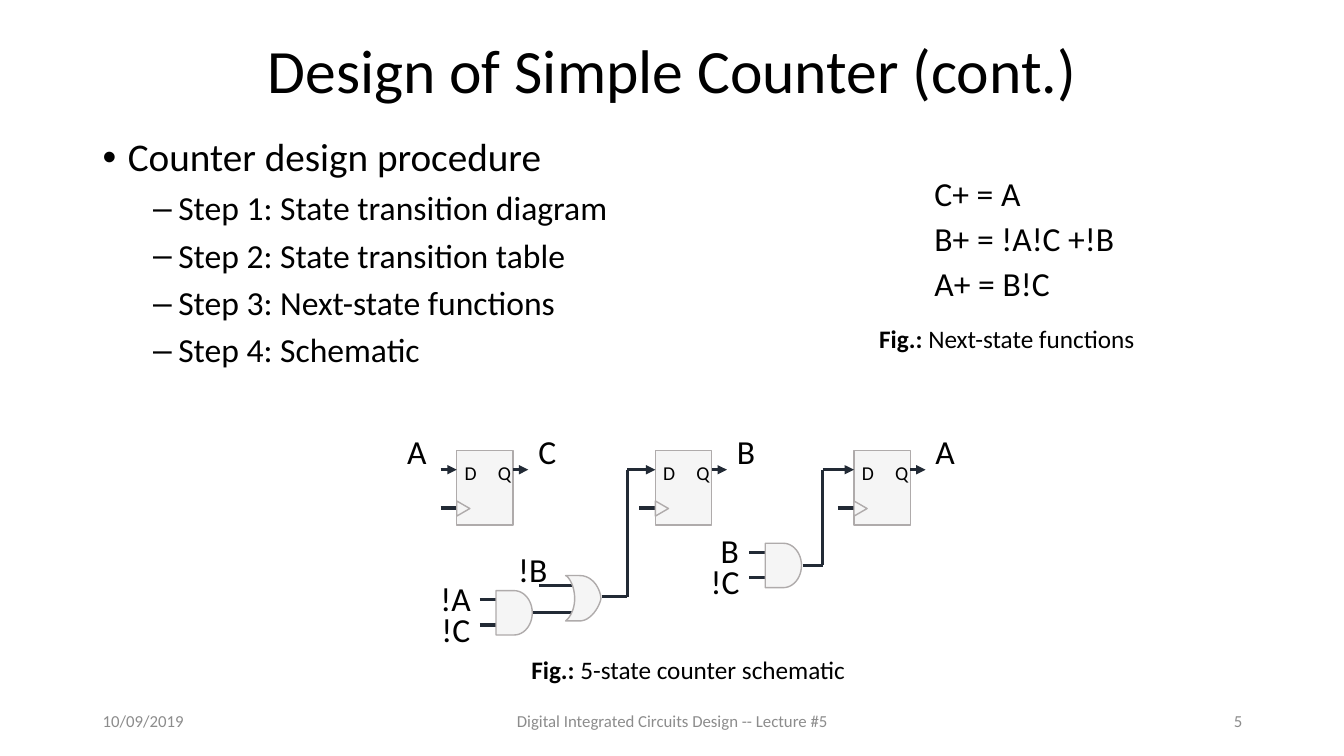
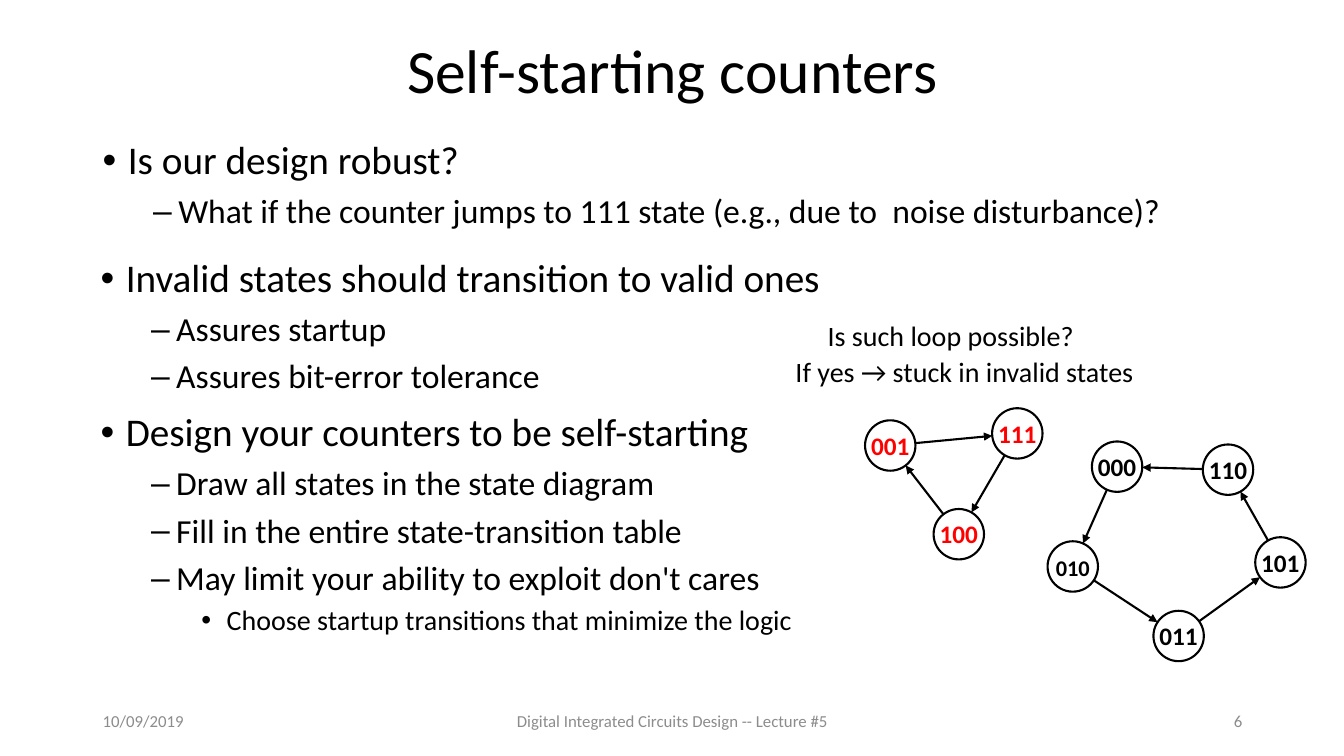
"""Build two lecture slides on counter design: a schematic and state loops."""
from math import hypot

from lxml import etree
from pptx import Presentation
from pptx.dml.color import RGBColor
from pptx.enum.shapes import MSO_CONNECTOR, MSO_SHAPE
from pptx.enum.text import MSO_ANCHOR, PP_ALIGN
from pptx.oxml.ns import qn
from pptx.util import Inches, Pt

LEFT, CENTER, RIGHT = PP_ALIGN.LEFT, PP_ALIGN.CENTER, PP_ALIGN.RIGHT
TOP, MIDDLE = MSO_ANCHOR.TOP, MSO_ANCHOR.MIDDLE
RECTANGLE, ELLIPSE, TRIANGLE = MSO_SHAPE.RECTANGLE, MSO_SHAPE.OVAL, MSO_SHAPE.ISOSCELES_TRIANGLE
STRAIGHT = MSO_CONNECTOR.STRAIGHT

FONT = "Calibri"
BLACK, WHITE, RED, GRAY = "000000", "FFFFFF", "FF0000", "8C8C8C"
GATE_FILL, GATE_LINE, WIRE = "F5F5F5", "AFABAB", "222A35"

TITLE_BOX = (0.92, 0.33, 11.5, 0.79)
DATE, COURSE = "10/09/2019", "Digital Integrated Circuits Design -- Lecture #5"
FIRST_NUMBER = 5
LEVELS = [(0.25, "•", 28, 12), (0.75, "–", 24, 8), (1.25, "•", 20, 6)]

PROCEDURE = [
    (0, "Counter design procedure"),
    (1, "Step 1: State transition diagram"),
    (1, "Step 2: State transition table"),
    (1, "Step 3: Next-state functions"),
    (1, "Step 4: Schematic"),
]
ROBUSTNESS = [
    (0, "Is our design robust?"),
    (1, "What if the counter jumps to 111 state (e.g., due to  noise disturbance)?"),
]
SELF_STARTING = [
    (0, "Invalid states should transition to valid ones"),
    (1, "Assures startup"),
    (1, "Assures bit-error tolerance"),
    (0, "Design your counters to be self-starting"),
    (1, "Draw all states in the state diagram"),
    (1, "Fill in the entire state-transition table"),
    (1, "May limit your ability to exploit don't cares"),
    (2, "Choose startup transitions that minimize the logic"),
]

FUNCTIONS = [("C+ = A", 1.06), ("B+ = !A!C +!B", 2), ("A+ = B!C", 1.36)]
CAPTIONS = [
    ("Next-state functions", (8.61, 3.16, 2.75, 0.4)),
    ("5-state counter schematic", (5.15, 6.44, 3.35, 0.4)),
]
FLIP_FLOP_OUTPUTS = [("C", 0.38), ("B", 0.38), ("A", 0.4)]
FLIP_FLOP_LEFT, FLIP_FLOP_TOP, FLIP_FLOP_PITCH = 4.53, 4.47, 1.97
SIGNALS = [
    ("A", 3.94, 4.23, 0.4), ("B", 7.05, 5.21, 0.4), ("!C", 6.95, 5.52, 0.49),
    ("!B", 5.04, 5.4, 0.49), ("!A", 4.27, 5.68, 0.51), ("!C", 4.28, 5.99, 0.49),
]
AND_GATES = [(7.59, 5.39), (4.92, 5.86)]
OR_GATE = (5.61, 5.71)
AND_OUTLINE = [
    [(0, 0)], [(0.18, 0)],
    [(0.28, 0), (0.36, 0.1), (0.36, 0.22)],
    [(0.36, 0.34), (0.28, 0.44), (0.18, 0.44)],
    [(0, 0.44)],
]
OR_OUTLINE = [
    [(0.14, 0)], [(0, 0)],
    [(0.03, 0.01), (0.09, 0.1), (0.09, 0.23)],
    [(0.09, 0.35), (0.03, 0.43), (0, 0.45)],
    [(0.13, 0.45)],
    [(0.25, 0.46), (0.34, 0.3), (0.35, 0.23)],
    [(0.35, 0.15), (0.28, 0), (0.14, 0)],
]
WIRES = [
    [(5.35, 5.81), (5.69, 5.81)],
    [(5.29, 6.08), (5.69, 6.08)],
    [(5.97, 5.92), (6.22, 5.92), (6.22, 4.66), (6.38, 4.66)],
    [(7.96, 5.61), (8.16, 5.61), (8.16, 4.66), (8.31, 4.66)],
]

STATE_SIZE = 0.5
INVALID_LOOP = [("001", 8.58, 4.17), ("111", 9.84, 4.05), ("100", 9.26, 5.05)]
VALID_LOOP = [
    ("000", 10.83, 4.38), ("010", 10.39, 5.37), ("011", 11.44, 6.06),
    ("101", 12.45, 5.33), ("110", 11.93, 4.41),
]
LOOP_NOTES = [
    ("Is such loop possible?", (8.16, 3.11, 2.54, 0.64), CENTER),
    ("If yes → stuck in invalid states", (7.87, 3.47, 3.46, 0.46), LEFT),
]


def color(value):
    return RGBColor.from_string(value)


def write_text(shape, text, *, size=24, ink=BLACK, bold=False, lead="", align=LEFT,
               anchor=TOP, wrap=False, inset=(0.1, 0.05), spacing=None):
    """Write a string, or a list of (level, string) bullets, into a shape."""
    frame = shape.text_frame
    frame.word_wrap, frame.vertical_anchor = wrap, anchor
    frame.margin_left = frame.margin_right = Inches(inset[0])
    frame.margin_top = frame.margin_bottom = Inches(inset[1])
    for index, (level, line) in enumerate([(None, text)] if isinstance(text, str) else text):
        paragraph = frame.add_paragraph() if index else frame.paragraphs[0]
        paragraph.alignment, paragraph.line_spacing = align, spacing
        if level is not None:
            indent, bullet, size, before = LEVELS[level]
            paragraph.level, paragraph.space_before = level, Pt(before)
            properties = paragraph._p.get_or_add_pPr()
            properties.set("marL", str(Inches(indent)))
            properties.set("indent", str(Inches(-0.25)))
            etree.SubElement(properties, qn("a:buFont")).set("typeface", "Arial")
            etree.SubElement(properties, qn("a:buChar")).set("char", bullet)
        for content, weight in ((lead, True), (line, bold)):
            if content:
                run = paragraph.add_run()
                run.text = content
                run.font.name, run.font.size, run.font.bold = FONT, Pt(size), weight
                run.font.color.rgb = color(ink)


def add_text(slide, text, box, **style):
    write_text(slide.shapes.add_textbox(*map(Inches, box)), text, **style)


def paint(shape, fill, line, width):
    shape.shadow.inherit = False
    shape.fill.solid()
    shape.fill.fore_color.rgb = color(fill)
    shape.line.color.rgb = color(line)
    shape.line.width = Pt(width)


def add_figure(slide, kind, box, fill=GATE_FILL, line=GATE_LINE, width=1):
    shape = slide.shapes.add_shape(kind, *map(Inches, box))
    paint(shape, fill, line, width)
    return shape


def add_line(slide, start, end, ink=WIRE, width=2.25, arrow=False):
    connector = slide.shapes.add_connector(STRAIGHT, *map(Inches, (*start, *end)))
    connector.line.color.rgb = color(ink)
    connector.line.width = Pt(width)
    if arrow:
        etree.SubElement(connector.line._get_or_add_ln(), qn("a:tailEnd")).set("type", "triangle")
    etree.SubElement(connector._element.spPr, qn("a:effectLst"))


def curve(start, first, second, end, steps=12):
    """Return points along a cubic curve, leaving out its start."""
    points = []
    for step in range(1, steps + 1):
        t = step / steps
        weights = ((1 - t) ** 3, 3 * t * (1 - t) ** 2, 3 * t * t * (1 - t), t ** 3)
        points.append(tuple(sum(weight * point[axis] for weight, point
                                in zip(weights, (start, first, second, end)))
                            for axis in (0, 1)))
    return points


def add_gate(slide, outline, left, top):
    points = []
    for segment in outline:
        points += curve(points[-1], *segment) if len(segment) == 3 else segment
    corners = [(Inches(left + x), Inches(top + y)) for x, y in points]
    builder = slide.shapes.build_freeform(*corners[0])
    builder.add_line_segments(corners[1:], close=True)
    paint(builder.convert_to_shape(), GATE_FILL, GATE_LINE, 1)


def add_flip_flop(slide, left, output, label_width):
    top, right = FLIP_FLOP_TOP, left + 0.56
    data, clock = top + 0.19, top + 0.57
    add_figure(slide, RECTANGLE, (left, top, 0.56, 0.74))
    add_line(slide, (left - 0.16, data), (left, data), arrow=True)
    add_line(slide, (left - 0.16, clock), (left, clock))
    add_line(slide, (right, data), (right + 0.15, data), arrow=True)
    add_figure(slide, TRIANGLE, (left - 0.01, clock - 0.06, 0.15, 0.13)).rotation = 90
    for pin, pin_left in (("D", left - 0.02), ("Q", left + 0.31)):
        add_text(slide, pin, (pin_left, top + 0.08, 0.27, 0.27),
                 size=14, align=CENTER, anchor=MIDDLE)
    add_text(slide, output, (right + 0.15, top - 0.24, label_width, 0.5))


def add_loop(slide, states, ink):
    radius = STATE_SIZE / 2
    for (name, left, top), (_, next_left, next_top) in zip(states, states[1:] + states[:1]):
        circle = add_figure(slide, ELLIPSE, (left, top, STATE_SIZE, STATE_SIZE), WHITE, BLACK, 1.5)
        write_text(circle, name, size=16 if name == "010" else 18, ink=ink, bold=True,
                   align=CENTER, anchor=MIDDLE, inset=(0, 0), spacing=Pt(21))
        across, down = next_left - left, next_top - top
        share = radius / hypot(across, down)
        x, y = left + radius, top + radius
        add_line(slide, (x + share * across, y + share * down),
                 (x + (1 - share) * across, y + (1 - share) * down), BLACK, 1.5, arrow=True)


def add_slide(presentation, title):
    slide = presentation.slides.add_slide(presentation.slide_layouts[6])
    add_text(slide, title, TITLE_BOX, size=44, align=CENTER, anchor=MIDDLE, wrap=True, spacing=0.9)
    number = str(FIRST_NUMBER + len(presentation.slides) - 1)
    for text, left, width, align in ((DATE, 0.92, 3, LEFT), (COURSE, 4.42, 4.5, CENTER),
                                     (number, 9.42, 3, RIGHT)):
        add_text(slide, text, (left, 6.95, width, 0.4), size=12, ink=GRAY,
                 align=align, anchor=MIDDLE, wrap=True)
    return slide


def add_bullets(slide, lines, box):
    add_text(slide, lines, box, wrap=True, spacing=0.9)


def build_schematic(presentation):
    slide = add_slide(presentation, "Design of Simple Counter (cont.)")
    add_bullets(slide, PROCEDURE, (0.92, 1.32, 5.82, 2.44))
    for index, (text, width) in enumerate(FUNCTIONS):
        add_text(slide, text, (9.17, 1.67 + 0.445 * index, width, 0.5))
    for text, box in CAPTIONS:
        add_text(slide, text, box, size=18, lead="Fig.: ", align=CENTER)
    for index, (output, width) in enumerate(FLIP_FLOP_OUTPUTS):
        add_flip_flop(slide, FLIP_FLOP_LEFT + index * FLIP_FLOP_PITCH, output, width)
    for wire in WIRES:
        for start, end in zip(wire, wire[1:]):
            add_line(slide, start, end)
    for left, top in AND_GATES:
        for pin in (top + 0.09, top + 0.34):
            add_line(slide, (left - 0.16, pin), (left, pin))
        add_gate(slide, AND_OUTLINE, left, top)
    add_gate(slide, OR_OUTLINE, *OR_GATE)
    for text, left, top, width in SIGNALS:
        add_text(slide, text, (left, top, width, 0.5))


def build_loops(presentation):
    slide = add_slide(presentation, "Self-starting counters")
    add_bullets(slide, ROBUSTNESS, (0.92, 1.35, 11.5, 1.13))
    add_bullets(slide, SELF_STARTING, (0.9, 2.52, 7.36, 4.4))
    add_loop(slide, INVALID_LOOP, RED)
    add_loop(slide, VALID_LOOP, BLACK)
    for text, box, align in LOOP_NOTES:
        add_text(slide, text, box, size=20, align=align, inset=(0.02, 0.03), spacing=1.05)


presentation = Presentation()
presentation.slide_width, presentation.slide_height = Inches(13.33), Inches(7.5)
build_schematic(presentation)
build_loops(presentation)
presentation.save("out.pptx")
